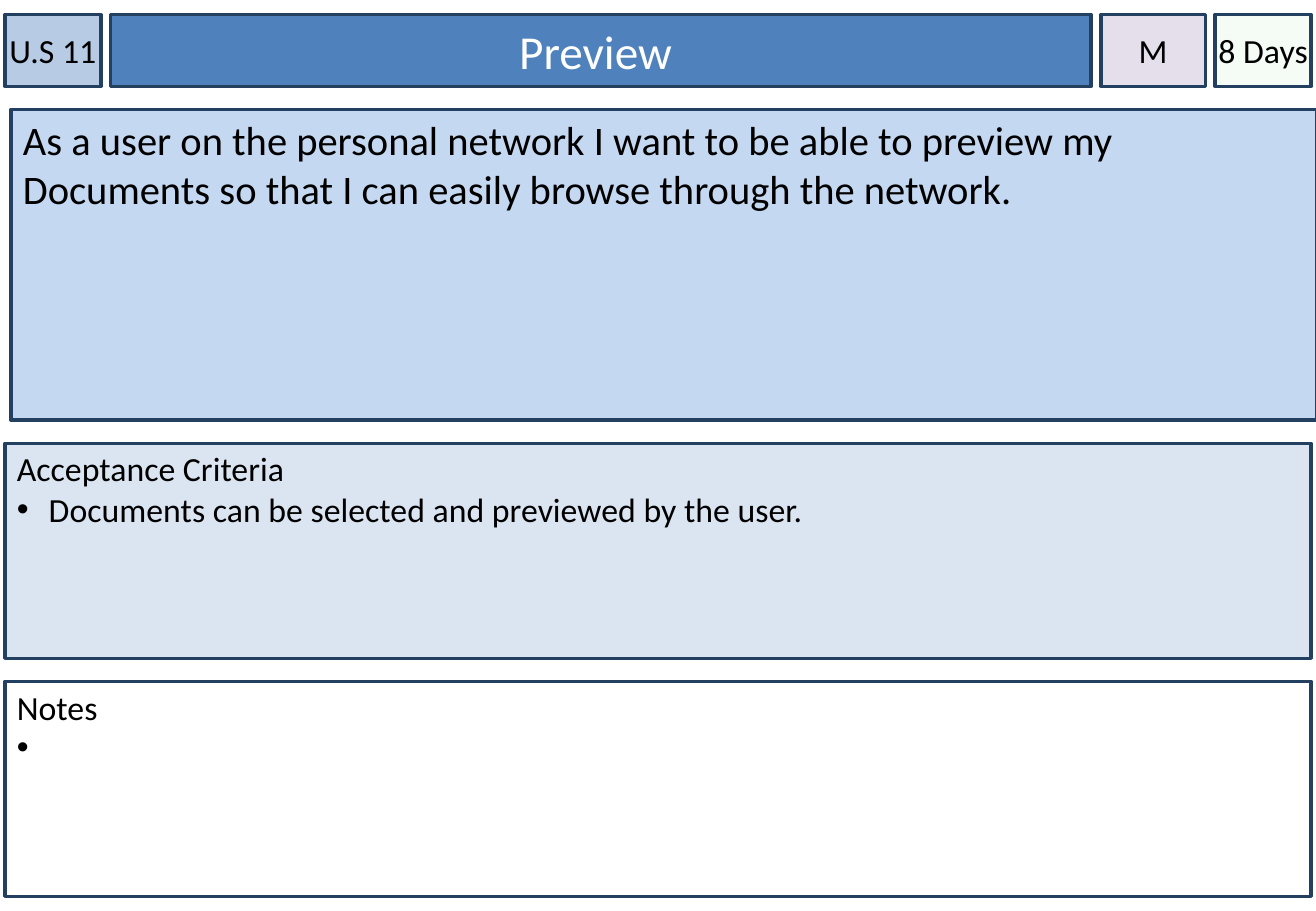
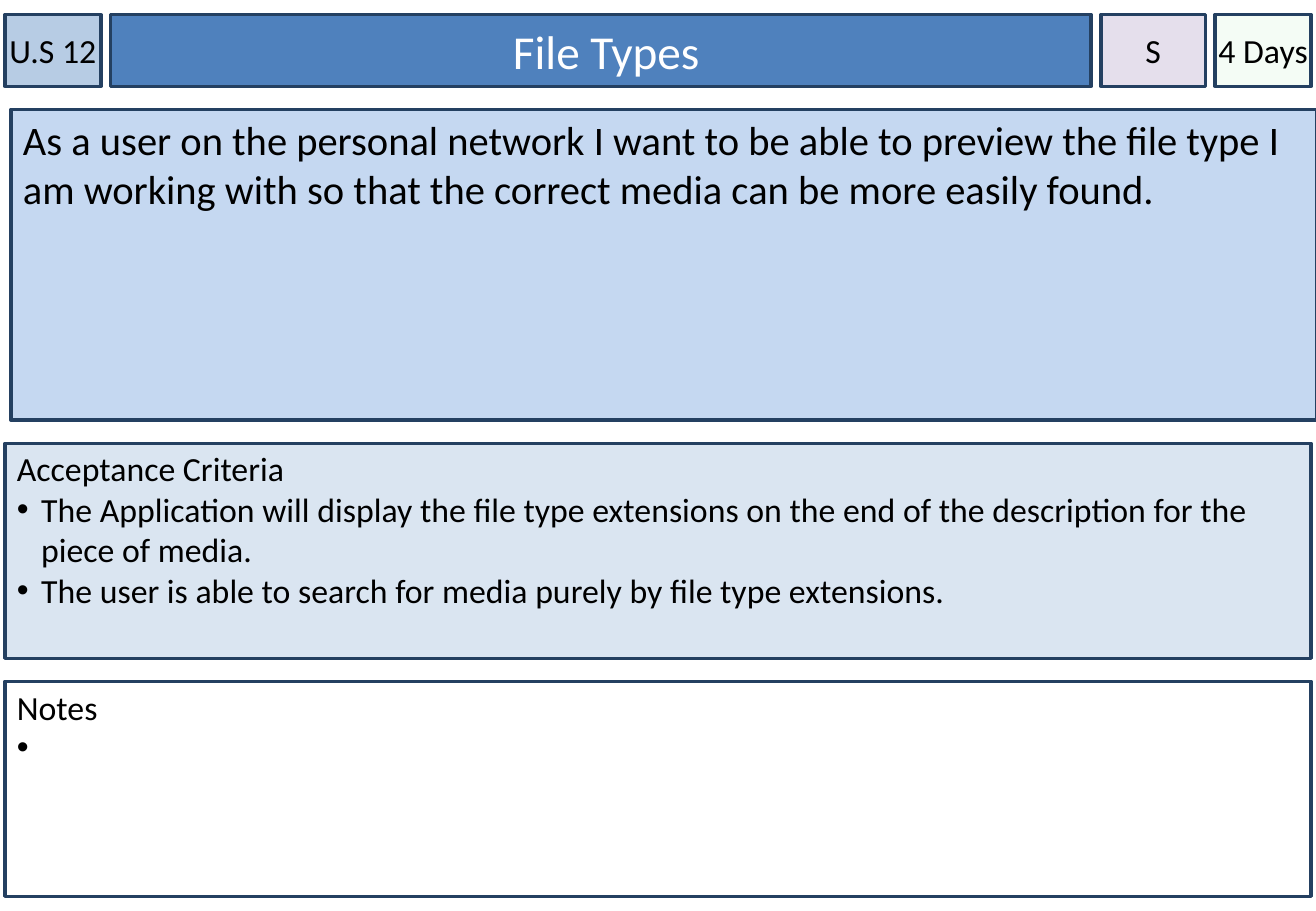
"""Build the user story cards, one per slide."""
from lxml import etree
from pptx import Presentation
from pptx.dml.color import RGBColor
from pptx.enum.shapes import MSO_SHAPE
from pptx.enum.text import MSO_ANCHOR, PP_ALIGN
from pptx.oxml.ns import qn
from pptx.util import Inches, Pt

RECT = MSO_SHAPE.RECTANGLE
TOP, MIDDLE = MSO_ANCHOR.TOP, MSO_ANCHOR.MIDDLE
LEFT, CENTER = PP_ALIGN.LEFT, PP_ALIGN.CENTER

COLORS = {
    "border": "244061",
    "number": "B7CCE4",
    "title": "4F81BD",
    "priority": "E5DFEC",
    "estimate": "CCF0CD",
    "story": "C5D8F1",
    "criteria": "DAE5F1",
    "notes": "FFFFFF",
    "dark": "000000",
    "light": "FFFFFF",
}
FONT = "Calibri"
MARGIN, TOP_EDGE = 0.04, 0.12
COLUMN_GAP, ROW_GAP = 0.08, 0.19
HEADER_HEIGHT, STORY_HEIGHT, PANEL_HEIGHT = 0.59, 2.56, 1.77
HEADER_WIDTHS = {"number": 0.79, "title": 8.07, "priority": 0.86, "estimate": 0.79}
BAND_WIDTH, STORY_LEFT = 10.75, 0.09
BULLET_INDENT = 0.2

STORIES = [
    {
        "number": "U.S 11",
        "title": "Preview ",
        "priority": "M",
        "estimate": "8 Days",
        "story": "As a user on the personal network I want to be able to preview my "
                 "Documents so that I can easily browse through the network.",
        "criteria": [" Documents can be selected and previewed by the user."],
        "notes": [" "],
    },
    {
        "number": "U.S 12",
        "title": " File Types",
        "priority": "S",
        "estimate": "4 Days",
        "story": "As a user on the personal network I want to be able to preview the "
                 "file type I am working with so that the correct media can be more "
                 "easily found.",
        "criteria": [
            "The Application will display the file type extensions on the end of "
            "the description for the piece of media.",
            "The user is able to search for media purely by file type extensions.",
        ],
        "notes": [" "],
    },
]


class StoryDeck:
    """Hold the card style and the slide being built."""

    def __init__(self):
        self.deck = Presentation()
        self.deck.slide_width = Inches(10.83)
        self.deck.slide_height = Inches(7.5)
        self.slide = None

    def new_slide(self):
        """Start a blank slide."""
        self.slide = self.deck.slides.add_slide(self.deck.slide_layouts[6])

    def box(self, left, top, width, height, fill, anchor=TOP, side=0.1, head=0.05):
        """Draw a bordered box and return it."""
        box = self.slide.shapes.add_shape(
            RECT, Inches(left), Inches(top), Inches(width), Inches(height))
        box.shadow.inherit = False
        box.fill.solid()
        box.fill.fore_color.rgb = RGBColor.from_string(COLORS[fill])
        box.line.color.rgb = RGBColor.from_string(COLORS["border"])
        box.line.width = Pt(2)
        frame = box.text_frame
        frame.word_wrap = True
        frame.vertical_anchor = anchor
        frame.margin_left = frame.margin_right = Inches(side)
        frame.margin_top, frame.margin_bottom = Inches(head), Inches(0.05)
        return box

    def add_text(self, paragraph, text, size, color="dark", align=LEFT):
        """Add one styled run to a paragraph."""
        paragraph.alignment = align
        run = paragraph.add_run()
        run.text = text
        run.font.name = FONT
        run.font.size = Pt(size)
        run.font.color.rgb = RGBColor.from_string(COLORS[color])

    def bullet(self, paragraph):
        """Give a paragraph a hanging round bullet."""
        props = paragraph._p.get_or_add_pPr()
        props.set("marL", str(Inches(BULLET_INDENT)))
        props.set("indent", str(-Inches(BULLET_INDENT)))
        tint = etree.SubElement(props, qn("a:buClr"))
        etree.SubElement(tint, qn("a:srgbClr"), val=COLORS["dark"])
        etree.SubElement(props, qn("a:buFont"), typeface="Arial")
        etree.SubElement(props, qn("a:buChar"), char="•")

    def fade(self, box, percent):
        """Set the opacity of a box fill."""
        tint = box._element.spPr.find(qn("a:solidFill")).find(qn("a:srgbClr"))
        etree.SubElement(tint, qn("a:alpha"), val=str(percent * 1000))

    def header(self, story):
        """Draw the row with number, title, priority and estimate."""
        left = MARGIN
        for part, width in HEADER_WIDTHS.items():
            is_title = part == "title"
            cell = self.box(left, TOP_EDGE, width, HEADER_HEIGHT, part, MIDDLE,
                            side=0.1 if is_title else 0)
            if part == "estimate":
                self.fade(cell, 20)
            self.add_text(cell.text_frame.paragraphs[0], story[part],
                          28 if is_title else 20, "light" if is_title else "dark", CENTER)
            left += width + COLUMN_GAP

    def story_band(self, top, text):
        """Draw the user story itself."""
        band = self.box(STORY_LEFT, top, BAND_WIDTH, STORY_HEIGHT, "story")
        self.add_text(band.text_frame.paragraphs[0], text, 24)

    def panel(self, top, part, heading, points):
        """Draw a headed panel with bullet points."""
        frame = self.box(MARGIN, top, BAND_WIDTH, PANEL_HEIGHT, part, head=0.04).text_frame
        self.add_text(frame.paragraphs[0], heading, 20)
        for point in points:
            paragraph = frame.add_paragraph()
            self.bullet(paragraph)
            self.add_text(paragraph, point, 20)

    def card(self, story):
        """Build one whole story card."""
        self.new_slide()
        self.header(story)
        top = TOP_EDGE + HEADER_HEIGHT + ROW_GAP
        self.story_band(top, story["story"])
        top += STORY_HEIGHT + ROW_GAP
        for part, heading in (("criteria", "Acceptance Criteria"), ("notes", "Notes")):
            self.panel(top, part, heading, story[part])
            top += PANEL_HEIGHT + ROW_GAP


def main():
    """Build every card and save the deck."""
    cards = StoryDeck()
    for story in STORIES:
        cards.card(story)
    cards.deck.save("out.pptx")


if __name__ == "__main__":
    main()
